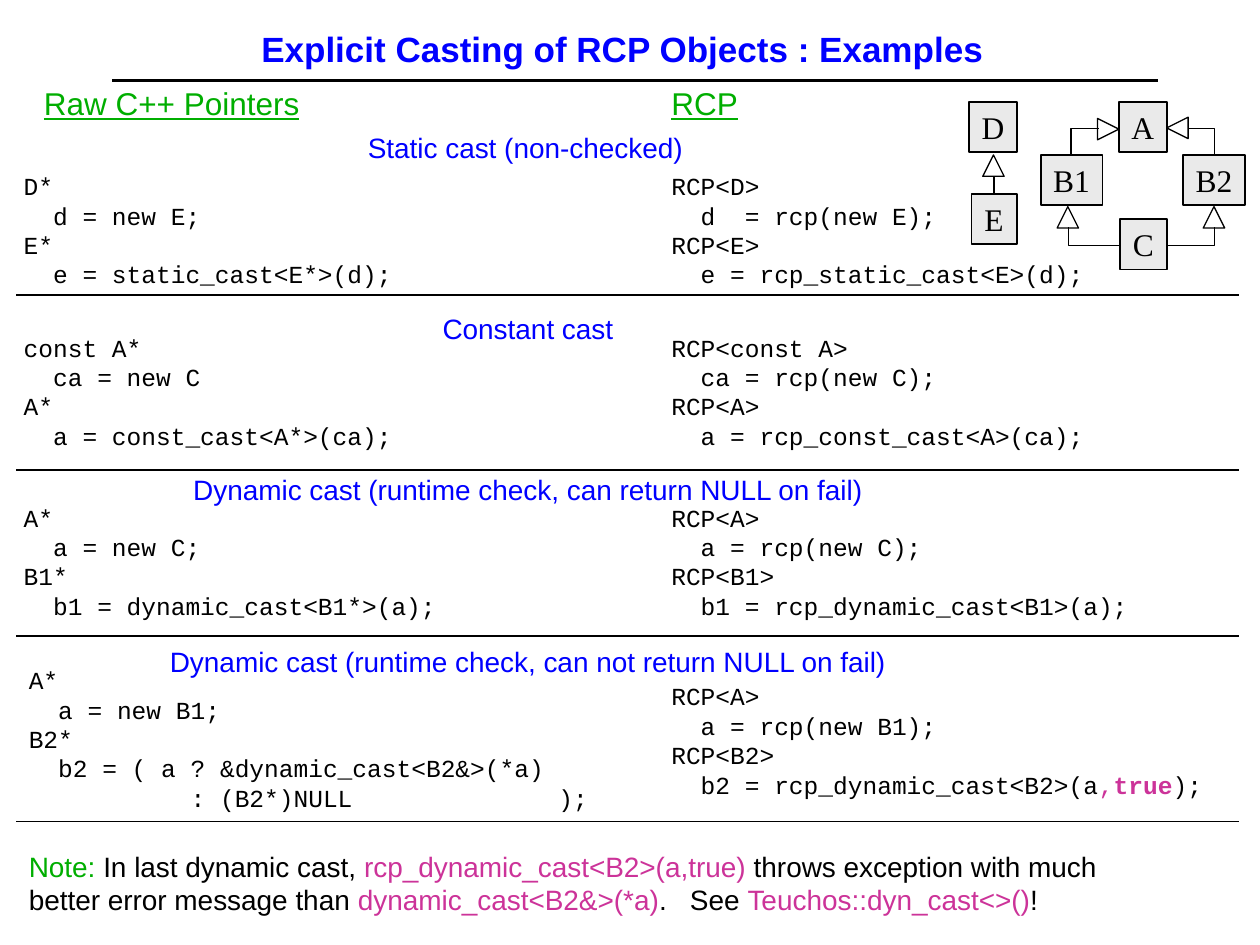
from dataclasses import dataclass

from lxml import etree
from pptx import Presentation, util as u
from pptx.dml import color
from pptx.enum import shapes, text
from pptx.oxml import ns

Inches = u.Inches


@dataclass(frozen=True)
class Theme:
    blue: str = "0000FF"
    green: str = "00AE00"
    pink: str = "CC3399"
    black: str = "000000"
    node_fill: str = "EAEAEA"
    sans: str = "Arial"
    mono: str = "Courier New"
    serif: str = "Times New Roman"
    title_size: float = 20
    column_size: float = 18
    heading_size: float = 16
    code_size: float = 14
    node_size: float = 18
    title_rule: float = 2
    rule: float = 1
    thin: float = 0.75


@dataclass(frozen=True)
class Example:
    """One kind of cast; tops are offsets from the panel's top."""
    heading: str
    left_code: list
    right_code: list
    top: float
    rule_y: float
    left_box: tuple
    right_top: float
    heading_left: float = 0.44


THEME = Theme()
RIGHT_COLUMN = 5.23
ARROW = 0.17

EXAMPLES = [
    Example("Static cast (non-checked)",
            ["D*", "  d = new E;", "E*", "  e = static_cast<E*>(d);"],
            ["RCP<D>", "  d  = rcp(new E);", "RCP<E>", "  e = rcp_static_cast<E>(d);"],
            0.99, 2.34, (0.09, 0.32, 4.33), 0.32, 0.42),
    Example("Constant cast",
            ["const A*", "  ca = new C", "A*", "  a = const_cast<A*>(ca);"],
            ["RCP<const A>", "  ca = rcp(new C);", "RCP<A>", "  a = rcp_const_cast<A>(ca);"],
            2.42, 3.73, (0.09, 0.17, 4.33), 0.17),
    Example("Dynamic cast (runtime check, can return NULL on fail)",
            ["A*", "  a = new C;", "B1*", "  b1 = dynamic_cast<B1*>(a);"],
            ["RCP<A>", "  a = rcp(new C);", "RCP<B1>", "  b1 = rcp_dynamic_cast<B1>(a);"],
            3.7, 5.05, (0.09, 0.24, 4.33), 0.24),
    Example("Dynamic cast (runtime check, can not return NULL on fail)",
            ["A*", "  a = new B1;", "B2*", "  b2 = ( a ? &dynamic_cast<B2&>(*a)",
             "           : (B2*)NULL              );"],
            ["RCP<A>", "  a = rcp(new B1);", "RCP<B2>",
             [("  b2 = rcp_dynamic_cast<B2>(a", THEME.black, False), (",", THEME.pink, False),
              ("true", THEME.pink, True), (");", THEME.black, False)]],
            5.07, 6.52, (0.13, 0.16, 4.75), 0.29),
]

NOTE = [("Note:", THEME.green, False),
        (" In last dynamic cast, ", THEME.black, False),
        ("rcp_dynamic_cast<B2>(a,true)", THEME.pink, False),
        (" throws exception with much better error message than ", THEME.black, False),
        ("dynamic_cast<B2&>(*a)", THEME.pink, False),
        (".   See ", THEME.black, False),
        ("Teuchos::dyn_cast<>()", THEME.pink, False),
        ("!", THEME.black, False)]


def rgb(value):
    return color.RGBColor.from_string(value)


def write(frame, lines, font, size, ink=THEME.black, bold=False, underline=False,
          align=text.PP_ALIGN.LEFT):
    """Fill a frame; a line is a string or a list of (text, colour, bold) runs."""
    for index, line in enumerate(lines):
        paragraph = frame.paragraphs[0] if index == 0 else frame.add_paragraph()
        paragraph.alignment = align
        for words, run_ink, run_bold in [(line, ink, bold)] if isinstance(line, str) else line:
            run = paragraph.add_run()
            run.text = words
            run.font.name = font
            run.font.size = u.Pt(size)
            run.font.bold = run_bold
            run.font.underline = underline
            run.font.color.rgb = rgb(run_ink)


def add_text(slide, box, lines, font, size, **style):
    frame = slide.shapes.add_textbox(*map(Inches, box)).text_frame
    frame.word_wrap = True
    write(frame, lines, font, size, **style)


def add_line(slide, start, end, width, elbow=False):
    """Draw a line; an elbow leaves its start horizontally and turns once."""
    kind = shapes.MSO_CONNECTOR.ELBOW if elbow else shapes.MSO_CONNECTOR.STRAIGHT
    connector = slide.shapes.add_connector(kind, *map(Inches, (*start, *end)))
    connector.line.color.rgb = rgb(THEME.black)
    connector.line.width = u.Pt(width)
    properties = connector._element.spPr
    if elbow:
        properties.find(ns.qn("a:prstGeom")).set("prst", "bentConnector2")
    etree.SubElement(properties, ns.qn("a:effectLst"))


def add_outlined(slide, kind, box, width):
    shape = slide.shapes.add_shape(kind, *map(Inches, box))
    shape.shadow.inherit = False
    shape.line.color.rgb = rgb(THEME.black)
    shape.line.width = u.Pt(width)
    return shape


def add_node(slide, label, left, top, width):
    node = add_outlined(slide, shapes.MSO_SHAPE.RECTANGLE, (left, top, width, 0.4), THEME.rule)
    node.fill.solid()
    node.fill.fore_color.rgb = rgb(THEME.node_fill)
    frame = node.text_frame
    frame.word_wrap = False
    frame.vertical_anchor = text.MSO_ANCHOR.TOP
    write(frame, [label], THEME.serif, THEME.node_size, align=text.PP_ALIGN.CENTER)


def add_arrowhead(slide, left, top, rotation=0):
    head = add_outlined(slide, shapes.MSO_SHAPE.ISOSCELES_TRIANGLE,
                        (left, top, ARROW, ARROW), THEME.thin)
    head.fill.background()
    head.rotation = rotation


def add_title(slide, left, top, width, height):
    title = slide.shapes.title
    title.left, title.top, title.width, title.height = map(Inches, (left, top, width, height))
    title.text_frame.vertical_anchor = text.MSO_ANCHOR.MIDDLE
    write(title.text_frame, ["Explicit Casting of RCP Objects : Examples"], THEME.sans,
          THEME.title_size, ink=THEME.blue, bold=True, align=text.PP_ALIGN.CENTER)
    add_line(slide, (left + 0.2, top + 0.5), (left + width, top + 0.5), THEME.title_rule)


def add_column_titles(slide, top):
    for label, left, width in (("Raw C++ Pointers", 0.25, 3.91), ("RCP", RIGHT_COLUMN, 2.33)):
        add_text(slide, (left, top, width, 0.4), [label], THEME.sans, THEME.column_size,
                 ink=THEME.green, underline=True)


def add_example(slide, example):
    left, offset, width = example.left_box
    for box_left, box_offset, box_width, code in (
            (left, offset, width, example.left_code),
            (RIGHT_COLUMN, example.right_top, 4.77, example.right_code)):
        height = 0.1 + 0.235 * len(code)
        add_text(slide, (box_left, example.top + box_offset, box_width, height), code,
                 THEME.mono, THEME.code_size)
    add_text(slide, (example.heading_left, example.top, 7.5, 0.36), [example.heading],
             THEME.sans, THEME.heading_size, ink=THEME.blue, align=text.PP_ALIGN.CENTER)
    add_line(slide, (0.13, example.rule_y), (9.83, example.rule_y), THEME.rule)


def add_single_inheritance(slide, left, top):
    """E derives from D."""
    add_arrowhead(slide, left + 0.11, top + 0.42)
    add_line(slide, (left + 0.2, top + 0.73), (left + 0.2, top + 0.59), THEME.thin)
    add_node(slide, "D", left, top, 0.38)
    add_node(slide, "E", left + 0.02, top + 0.73, 0.36)


def add_diamond_inheritance(slide, left, top):
    """C derives from B1 and B2, which both derive from A."""
    for start, end in (((0.46, 0.21), (0.24, 0.42)), ((1.17, 0.21), (1.38, 0.42)),
                       ((0.62, 1.14), (0.22, 0.99)), ((1, 1.14), (1.38, 0.99))):
        add_line(slide, (left + start[0], top + start[1]), (left + end[0], top + end[1]),
                 THEME.thin, elbow=True)
    for x, y, rotation in ((0.45, 0.13, 90), (1, 0.12, 270), (0.13, 0.83, 0), (1.29, 0.83, 0)):
        add_arrowhead(slide, left + x, top + y, rotation)
    for label, x, y, width in (("A", 0.62, 0, 0.38), ("B1", 0, 0.42, 0.49),
                               ("B2", 1.13, 0.42, 0.49), ("C", 0.63, 0.93, 0.37)):
        add_node(slide, label, left + x, top + y, width)


def main():
    presentation = Presentation()
    presentation.slide_width, presentation.slide_height = Inches(10), Inches(7.5)
    slide = presentation.slides.add_slide(presentation.slide_layouts.get_by_name("Title Only"))
    add_title(slide, 0.69, 0.14, 8.5, 0.49)
    add_column_titles(slide, 0.62)
    for example in EXAMPLES:
        add_example(slide, example)
    add_single_inheritance(slide, 7.69, 0.81)
    add_diamond_inheritance(slide, 8.26, 0.81)
    add_text(slide, (0.13, 6.69, 8.75, 0.63), [NOTE], THEME.sans, THEME.heading_size)
    presentation.save("out.pptx")


if __name__ == "__main__":
    main()
